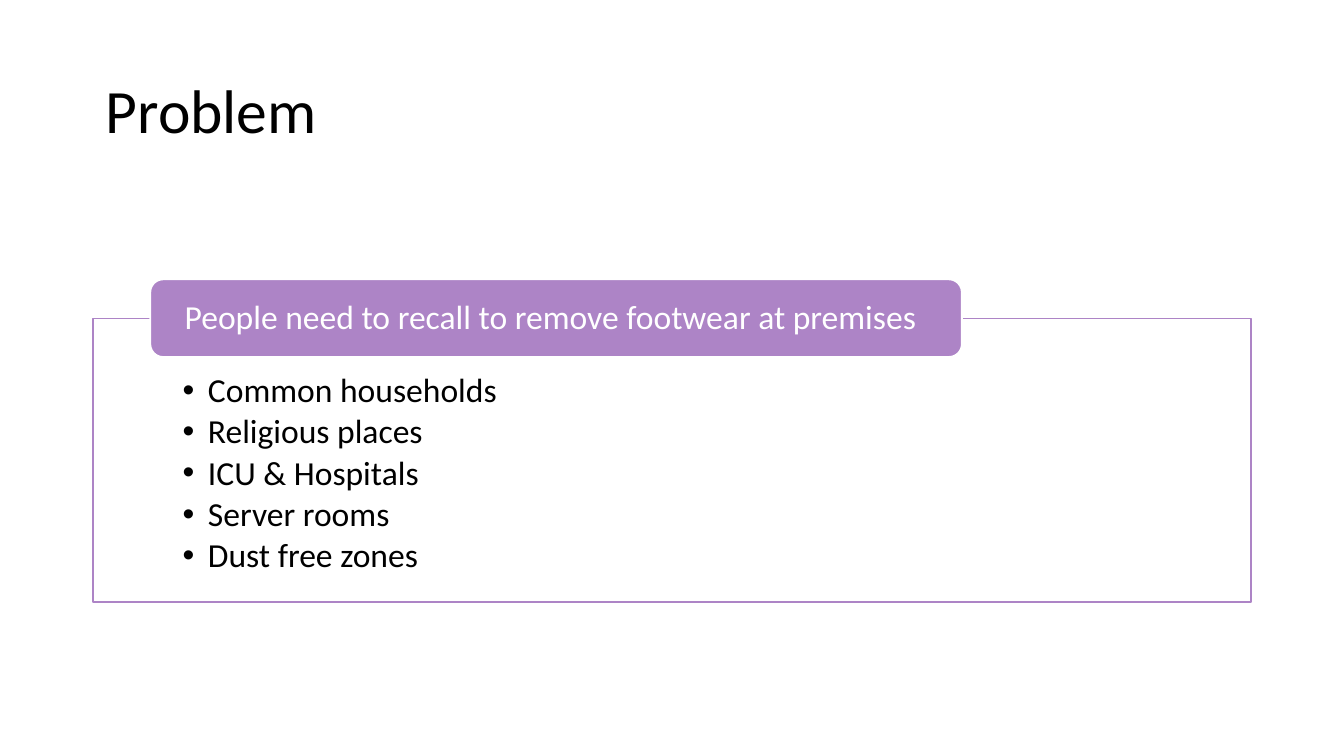
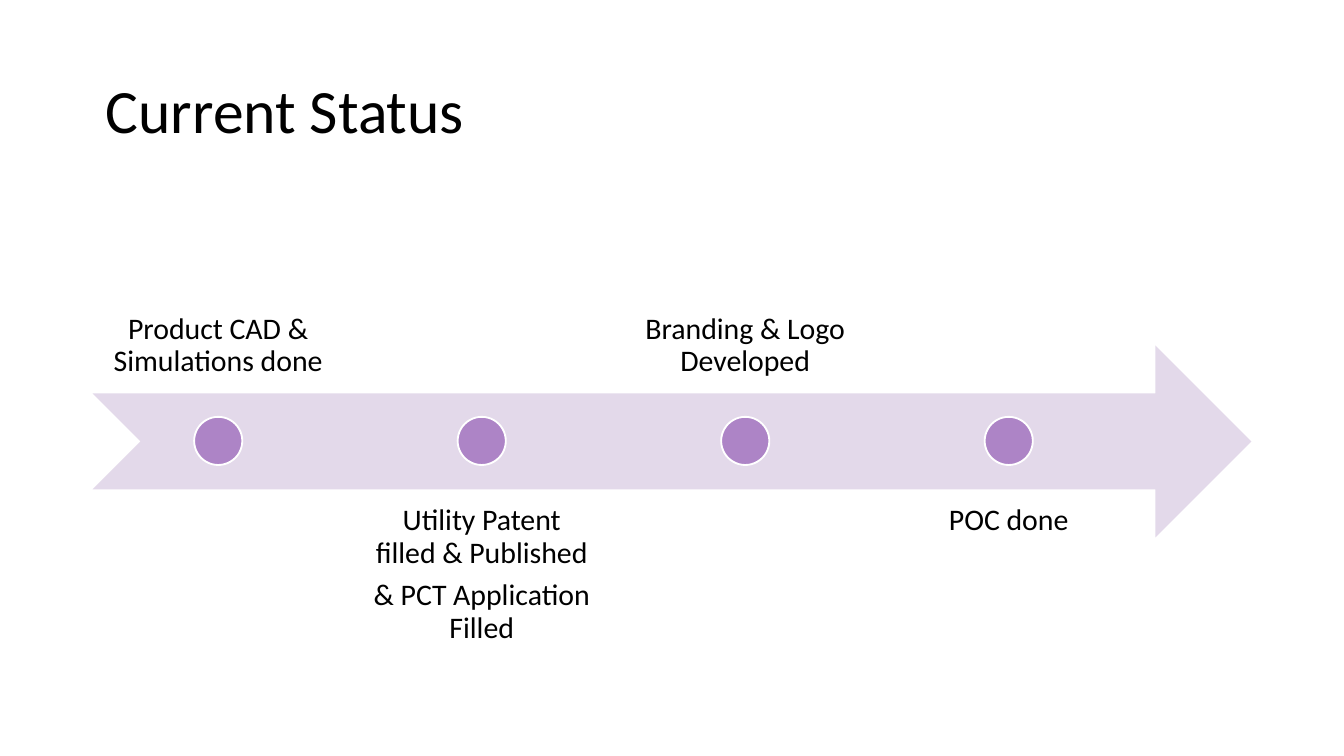
import pptx
import pptx.util
import pptx.dml.color
from lxml import etree
from pptx.enum.shapes import MSO_SHAPE
from pptx.enum.text import MSO_ANCHOR, MSO_AUTO_SIZE, PP_ALIGN
from pptx.oxml.ns import qn

Cm, Pt = pptx.util.Cm, pptx.util.Pt

FONT = "Calibri"
BLACK, WHITE = "000000", "FFFFFF"
PURPLE, PALE = "AD84C6", "E3D9EA"
LEFT, WIDTH = 1.75, 21.9


def paint(shape, fill, line=None):
    """Fill a shape and give it a 1 pt outline, or none."""
    shape.fill.solid()
    shape.fill.fore_color.rgb = pptx.dml.color.RGBColor.from_string(fill)
    if line:
        shape.line.color.rgb = pptx.dml.color.RGBColor.from_string(line)
        shape.line.width = Pt(1)
    else:
        shape.line.fill.background()


def write(shape, lines, size, anchor, align=PP_ALIGN.LEFT, color=BLACK,
          after=0, inset=(0.25, 0.13), bullet=False):
    """Set one paragraph per line; inset is side, top and, if given, bottom."""
    frame = shape.text_frame
    frame.word_wrap = True
    frame.auto_size = MSO_AUTO_SIZE.NONE
    frame.vertical_anchor = anchor
    frame.margin_left = frame.margin_right = Cm(inset[0])
    frame.margin_top, frame.margin_bottom = Cm(inset[1]), Cm(inset[-1])
    frame.text = "\n".join(lines)
    for para in frame.paragraphs:
        if bullet:
            para.level = 1
            props = para._p.get_or_add_pPr()
            props.set("marL", str(Cm(0.48)))
            props.set("indent", str(Cm(-0.48)))
            etree.SubElement(props, qn("a:buFont")).set("typeface", "Arial")
            etree.SubElement(props, qn("a:buChar")).set("char", "•")
        para.alignment = align
        para.line_spacing = 0.9
        para.space_before = Pt(0)
        para.space_after = Pt(after)
        para.font.name = FONT
        para.font.size = Pt(size)
        para.font.color.rgb = pptx.dml.color.RGBColor.from_string(color)


deck = pptx.Presentation()
deck.slide_width, deck.slide_height = Cm(25.4), Cm(14.29)

# Both slides: title
pages = []
for name, layout in (("Problem", 1), ("Current Status", 5)):
    page = deck.slides.add_slide(deck.slide_layouts[layout])
    title = page.shapes.title
    title.left, title.top = Cm(LEFT), Cm(0.76)
    title.width, title.height = Cm(WIDTH), Cm(2.77)
    write(title, [name], 33, MSO_ANCHOR.MIDDLE)
    pages.append(page)
problem, status = pages

# Problem: framed list with a heading tab
places = problem.placeholders[1]
places.left, places.top = Cm(LEFT), Cm(6.02)
places.width, places.height = Cm(WIDTH), Cm(5.36)
paint(places, WHITE, PURPLE)
write(places, ["Common households", "Religious places", "ICU & Hospitals",
               "Server rooms", "Dust free zones"],
      18, MSO_ANCHOR.TOP, after=2.7, inset=(1.7, 1.04, 0.36), bullet=True)

tab = problem.shapes.add_shape(MSO_SHAPE.ROUNDED_RECTANGLE,
                               Cm(2.84), Cm(5.28), Cm(15.34), Cm(1.47))
tab.shadow.inherit = False
paint(tab, PURPLE, WHITE)
write(tab, ["People need to recall to remove footwear at premises"],
      18, MSO_ANCHOR.MIDDLE, color=WHITE, inset=(0.58, 0))

# Current Status: timeline with labels above and below in turn
arrow = status.shapes.add_shape(MSO_SHAPE.NOTCHED_RIGHT_ARROW,
                                Cm(LEFT), Cm(6.53), Cm(WIDTH), Cm(3.63))
arrow.shadow.inherit = False
paint(arrow, PALE)

STEP, WIDE, DOT = 4.98, 4.75, 0.91
steps = [["Product CAD & Simulations done"],
         ["Utility Patent filled & Published", "& PCT Application Filled"],
         ["Branding & Logo Developed"],
         ["POC done"]]
for i, lines in enumerate(steps):
    x = LEFT + i * STEP
    top, anchor = ((3.81, MSO_ANCHOR.BOTTOM), (9.25, MSO_ANCHOR.TOP))[i % 2]
    label = status.shapes.add_textbox(Cm(x), Cm(top), Cm(WIDE), Cm(3.63))
    write(label, lines, 16, anchor, PP_ALIGN.CENTER, after=5.6,
          inset=(0.3, 0.3))
    dot = status.shapes.add_shape(MSO_SHAPE.OVAL, Cm(x + (WIDE - DOT) / 2),
                                  Cm(7.88), Cm(DOT), Cm(DOT))
    dot.shadow.inherit = False
    paint(dot, PURPLE, WHITE)

deck.save("out.pptx")
